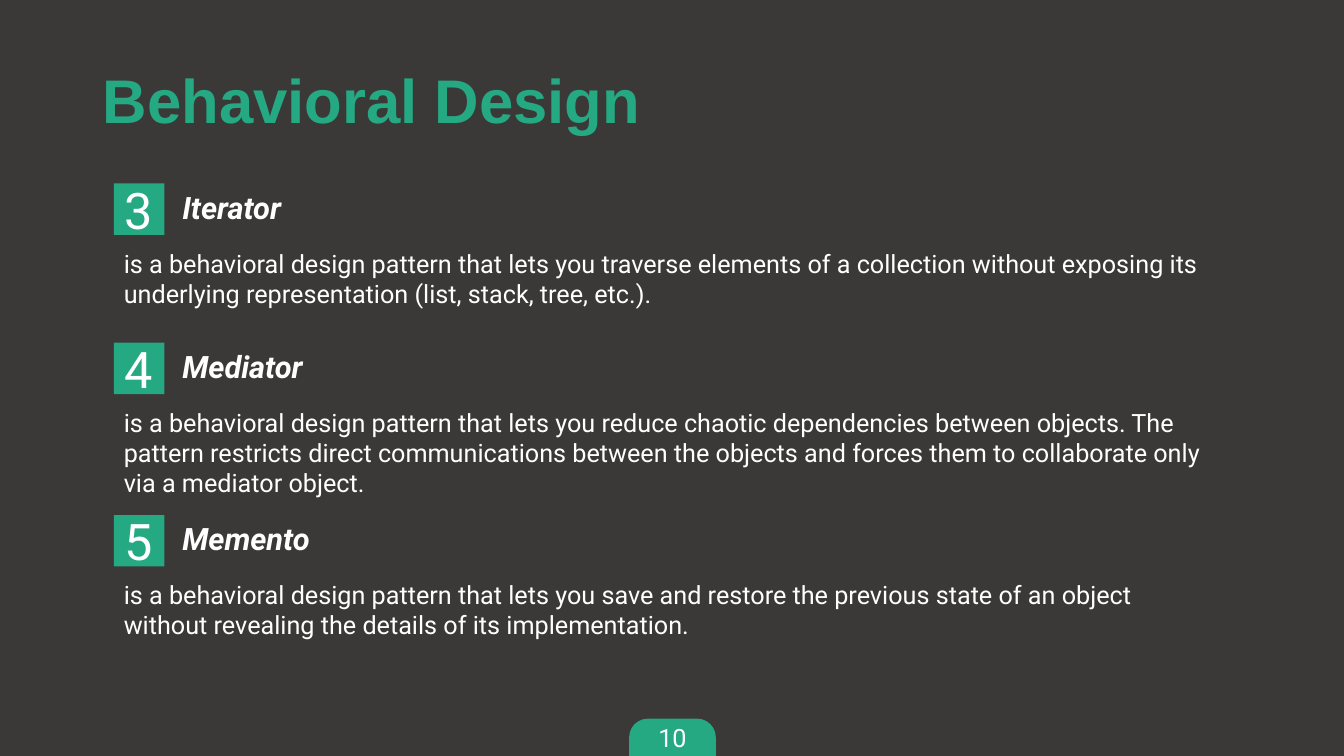
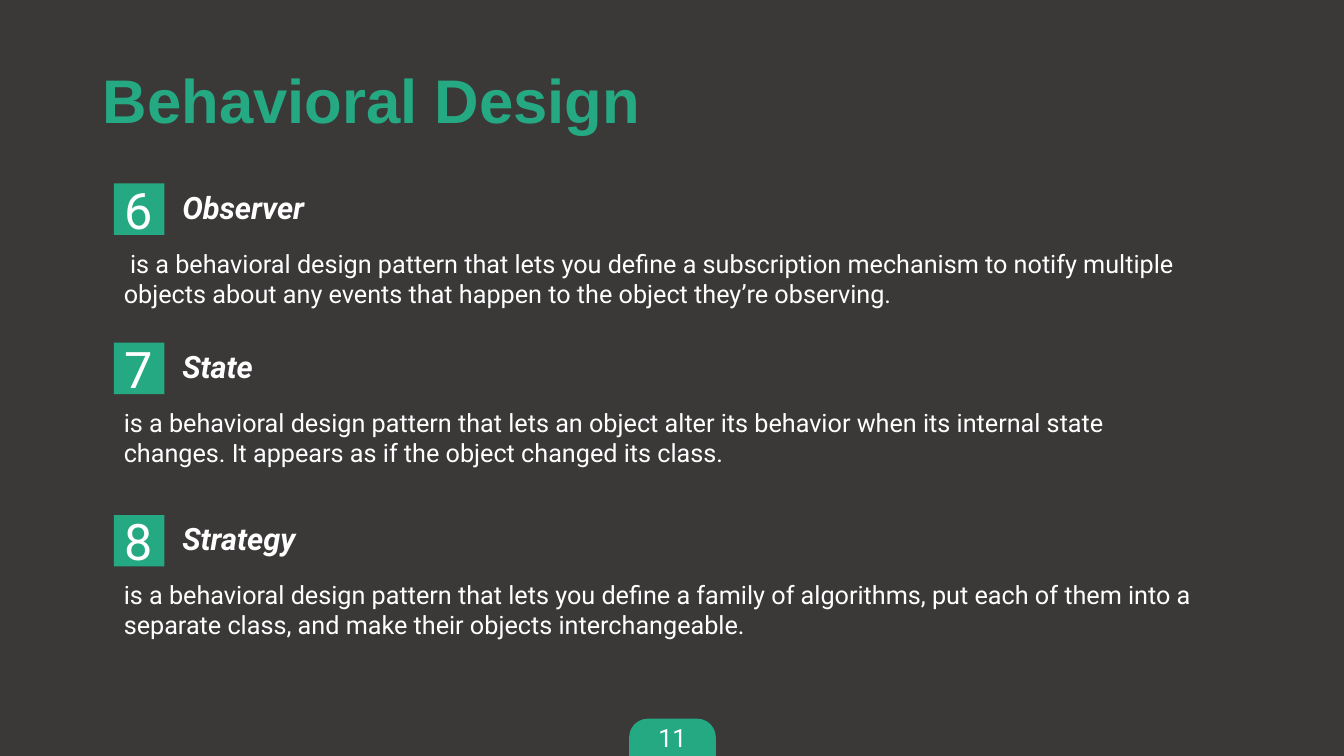
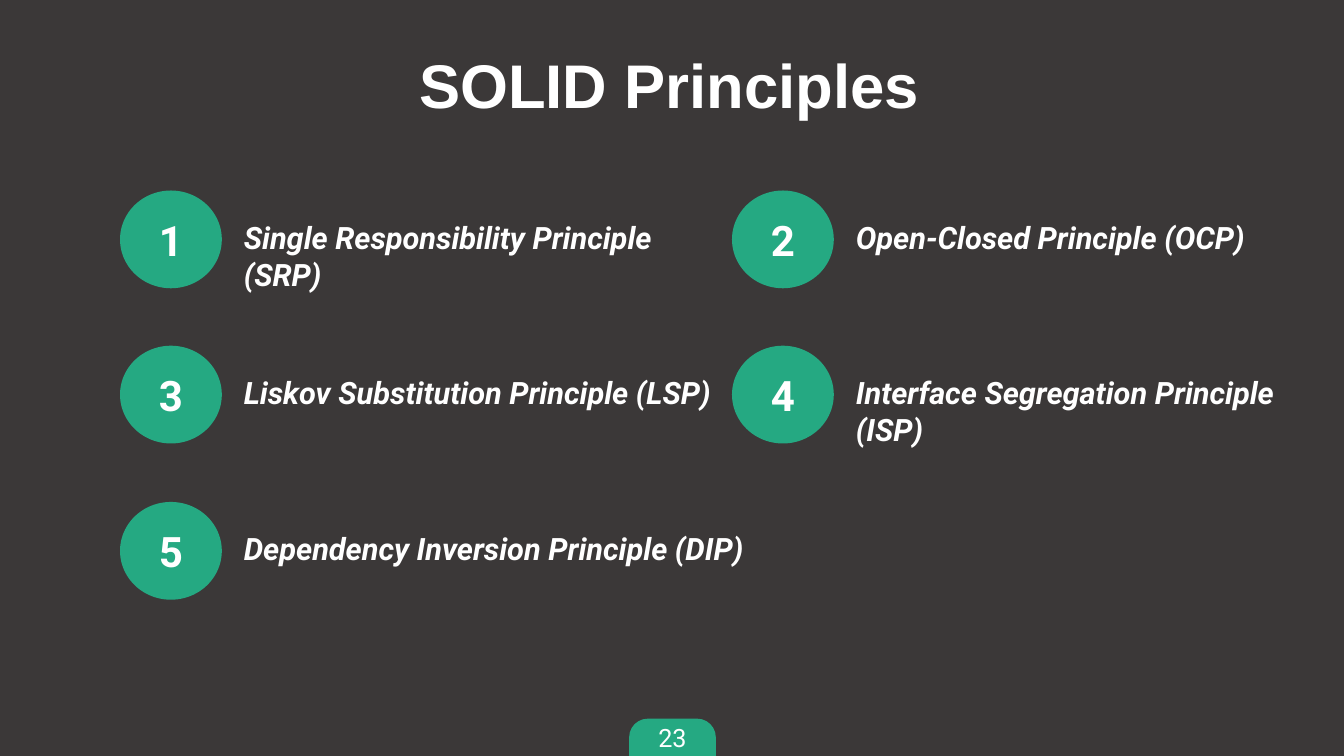
from pptx import Presentation
from pptx.dml.color import RGBColor
from pptx.enum.shapes import MSO_SHAPE
from pptx.enum.text import MSO_ANCHOR, PP_ALIGN
from pptx.util import Inches, Pt

RECT, OVAL = MSO_SHAPE.RECTANGLE, MSO_SHAPE.OVAL
TAB = MSO_SHAPE.ROUND_2_SAME_RECTANGLE
TOP, MIDDLE = MSO_ANCHOR.TOP, MSO_ANCHOR.MIDDLE
LEFT, CENTER = PP_ALIGN.LEFT, PP_ALIGN.CENTER

COLORS = {"back": "3B3838", "green": "25A982", "white": "FFFFFF"}
FONTS = {
    "title": {"name": "Arial", "size": Pt(44), "bold": True},
    "head": {"name": "Roboto", "size": Pt(22), "bold": True, "italic": True},
    "body": {"name": "Roboto", "size": Pt(18)},
    "square": {"name": "Roboto", "size": Pt(36)},
    "circle": {"name": "Roboto", "size": Pt(30), "bold": True},
}


def color(name):
    return RGBColor.from_string(COLORS[name])


class Deck:
    def __init__(self):
        self.file = Presentation()
        self.file.slide_width = Inches(13.33)
        self.file.slide_height = Inches(7.5)
        fill = self.file.slide_master.background.fill
        fill.solid()
        fill.fore_color.rgb = color("back")
        self.slide = None

    def page(self, number, title, box, tint):
        self.slide = self.file.slides.add_slide(self.file.slide_layouts[5])
        tab = self.shape(TAB, (6.24, 7.13, 0.86, 0.37))
        tab.adjustments[0] = 0.5
        self.text(number, (6.27, 7.13, 0.8, 0.37), "body", CENTER, MIDDLE)
        head = self.slide.shapes.title
        self.place(head, box)
        self.letter(head, title, "title", LEFT, MIDDLE, tint)
        head.text_frame.paragraphs[0].line_spacing = 0.9

    def place(self, shape, box):
        for key, size in zip(("left", "top", "width", "height"), box):
            setattr(shape, key, Inches(size))

    def letter(self, shape, words, style, align=LEFT, anchor=TOP, tint="white"):
        frame = shape.text_frame
        frame.word_wrap = True
        frame.vertical_anchor = anchor
        line = frame.paragraphs[0]
        line.alignment = align
        run = line.add_run()
        run.text = words
        for key, value in FONTS[style].items():
            setattr(run.font, key, value)
        run.font.color.rgb = color(tint)

    def text(self, words, box, style, align=LEFT, anchor=TOP):
        label = self.slide.shapes.add_textbox(*map(Inches, box))
        self.letter(label, words, style, align, anchor)

    def shape(self, kind, box):
        shape = self.slide.shapes.add_shape(kind, *map(Inches, box))
        shape.shadow.inherit = False
        shape.fill.solid()
        shape.fill.fore_color.rgb = color("green")
        shape.line.fill.background()
        return shape

    def badge(self, kind, number, box, style):
        self.letter(self.shape(kind, box), str(number), style, CENTER, MIDDLE)

    def entry(self, number, name, words, top):
        self.badge(RECT, number, (1.13, top, 0.5, 0.51), "square")
        self.text(name, (1.71, top, 2.1, 0.5), "head")
        self.text(words, (1.13, top + 0.59, 10.9, 1.01), "body")

    def rule(self, number, name, left, top, width):
        self.badge(OVAL, number, (left, top, 1.01, 0.97), "circle")
        self.text(name, (left + 1.13, top + 0.23, width, 0.5), "head")


PATTERNS = [
    ("10", 3, [
        ("Iterator", "is a behavioral design pattern that lets you traverse elements of a "
         "collection without exposing its underlying representation (list, stack, tree, etc.)."),
        ("Mediator", "is a behavioral design pattern that lets you reduce chaotic dependencies "
         "between objects. The pattern restricts direct communications between the objects "
         "and forces them to collaborate only via a mediator object."),
        ("Memento", "is a behavioral design pattern that lets you save and restore the previous "
         "state of an object without revealing the details of its implementation."),
    ]),
    ("11", 6, [
        ("Observer", " is a behavioral design pattern that lets you define a subscription "
         "mechanism to notify multiple objects about any events that happen to the object "
         "they’re observing."),
        ("State", "is a behavioral design pattern that lets an object alter its behavior when "
         "its internal state changes. It appears as if the object changed its class."),
        ("Strategy", "is a behavioral design pattern that lets you define a family of algorithms, "
         "put each of them into a separate class, and make their objects interchangeable."),
    ]),
]
RULES = [
    ("Single Responsibility Principle (SRP)", 4.94),
    ("Open-Closed Principle (OCP)", 4.52),
    ("Liskov Substitution Principle (LSP)", 4.94),
    ("Interface Segregation Principle (ISP)", 4.79),
    ("Dependency Inversion Principle (DIP)", 5.95),
]
ENTRY_TOPS = (1.82, 3.4, 5.11)
RULE_TOPS = (1.89, 3.43, 4.98)
RULE_LEFTS = (1.19, 7.26)


def main():
    deck = Deck()
    for page, first, entries in PATTERNS:
        deck.page(page, "Behavioral Design", (0.92, 0.3, 11.5, 1.45), "green")
        for index, (name, words) in enumerate(entries):
            deck.entry(first + index, name, words, ENTRY_TOPS[index])

    deck.page("23", "SOLID Principles", (4.06, 0.15, 5.22, 1.45), "white")
    for index, (name, width) in enumerate(RULES):
        row, col = divmod(index, 2)
        deck.rule(index + 1, name, RULE_LEFTS[col], RULE_TOPS[row], width)
    deck.file.save("out.pptx")


if __name__ == "__main__":
    main()
